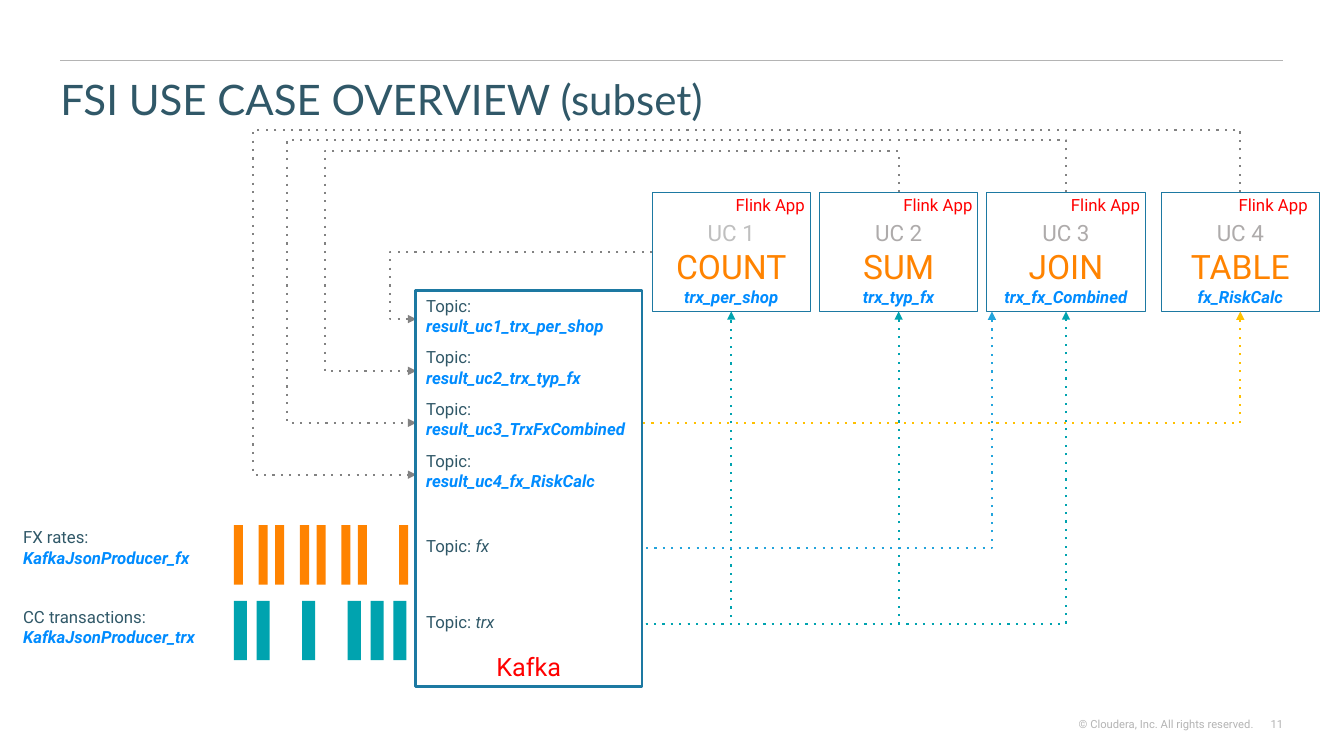
from dataclasses import dataclass

from lxml.etree import SubElement
from pptx import Presentation
from pptx.dml.color import RGBColor
from pptx.enum.shapes import MSO_CONNECTOR, MSO_SHAPE
from pptx.enum.text import MSO_ANCHOR, PP_ALIGN
from pptx.oxml.ns import qn
from pptx.util import Inches, Pt


@dataclass(frozen=True)
class Theme:
    body_font: str = "Roboto"
    title_font: str = "Lato"
    ink: str = "305868"
    link: str = "008CFF"
    orange: str = "FF8300"
    teal: str = "00A3AF"
    sky: str = "23A4DC"
    yellow: str = "FFC000"
    red: str = "FF0000"
    border: str = "1D79A2"
    white: str = "FFFFFF"
    muted: str = "B4B4B4"
    result: str = "828282"
    faded: str = "BFBFBF"
    label: str = "AEABAB"
    title_size: int = 30
    verb_size: int = 24
    name_size: int = 18
    case_size: int = 16
    text_size: int = 12
    footer_size: int = 8


@dataclass(frozen=True)
class Box:
    left: float
    top: float
    width: float
    height: float

    @property
    def right(self):
        return self.left + self.width

    @property
    def bottom(self):
        return self.top + self.height

    @property
    def center(self):
        return self.left + self.width / 2

    @property
    def middle(self):
        return self.top + self.height / 2

    def inside(self, left, top, width, height):
        return Box(self.left + left, self.top + top, width, height)

    def place(self):
        return [cells(n) for n in (self.left, self.top, self.width, self.height)]


THEME = Theme()
CELLS_PER_INCH = 10
PAGE = Box(0, 0, 133.33, 75)
KAFKA = Box(41.2, 28.8, 22.5, 39.3)
RESULTS = [KAFKA.inside(0.1, 5.15 * row, 22.5, 5.7) for row in range(4)]
FX_TOPIC = KAFKA.inside(0.1, 23.9, 8.6, 3.4)
TRX_TOPIC = KAFKA.inside(0.1, 31.4, 9.4, 3.4)
CARDS = [Box(left, 19.1, 15.7, 11.8) for left in (64.7, 81.3, 97.9, 115.2)]

PLAIN = {"size": THEME.text_size, "color": THEME.ink}
LINK = {"size": THEME.text_size, "color": THEME.link, "bold": True, "italic": True}


def cells(count):
    return Inches(count / CELLS_PER_INCH)


def write(shape, paragraphs, align=PP_ALIGN.LEFT, anchor=MSO_ANCHOR.TOP, insets=(1, 0.5, 1, 0.5), spacing=None):
    frame = shape.text_frame
    left, top, right, bottom = (cells(n) for n in insets)
    settings = {"word_wrap": True, "vertical_anchor": anchor, "margin_left": left,
                "margin_top": top, "margin_right": right, "margin_bottom": bottom}
    for name, value in settings.items():
        setattr(frame, name, value)
    for index, runs in enumerate(paragraphs):
        paragraph = frame.add_paragraph() if index else frame.paragraphs[0]
        paragraph.alignment = align
        paragraph.line_spacing = spacing
        for text, style in runs:
            run = paragraph.add_run()
            run.text = text
            font = {"name": THEME.body_font, **style}
            run.font.color.rgb = RGBColor.from_string(font.pop("color"))
            font["size"] = Pt(font["size"])
            for name, value in font.items():
                setattr(run.font, name, value)


def add_text(slide, box, paragraphs, **layout):
    write(slide.shapes.add_textbox(*box.place()), paragraphs, **layout)


def add_rectangle(slide, box, fill, line=None, weight=0.75):
    shape = slide.shapes.add_shape(MSO_SHAPE.RECTANGLE, *box.place())
    shape.shadow.inherit = False
    shape.fill.solid()
    shape.fill.fore_color.rgb = RGBColor.from_string(fill)
    if line:
        shape.line.color.rgb = RGBColor.from_string(line)
        shape.line.width = Pt(weight)
    else:
        shape.line.fill.background()
    return shape


def add_line(slide, kind, begin, end, color, weight):
    connector = slide.shapes.add_connector(kind, *(cells(n) for n in (*begin, *end)))
    connector.line.color.rgb = RGBColor.from_string(color)
    connector.line.width = Pt(weight)
    SubElement(connector.element.spPr, qn("a:effectLst"))
    return connector


def add_flow(slide, begin, end, color, preset, bends=()):
    connector = add_line(slide, MSO_CONNECTOR.ELBOW, begin, end, color, 1.5)
    line = connector.element.spPr.find(qn("a:ln"))
    SubElement(line, qn("a:prstDash"), val="dot")
    SubElement(line, qn("a:tailEnd"), type="triangle")
    geometry = connector.element.spPr.find(qn("a:prstGeom"))
    geometry.set("prst", preset)
    guides = geometry.find(qn("a:avLst"))
    for number, bend in enumerate(bends, 1):
        SubElement(guides, qn("a:gd"), name=f"adj{number}", fmla=f"val {round(bend * 100000)}")
    return connector


def add_loop(slide, card, topic, lane, ceiling):
    across, down = card.center - topic.left, topic.middle - card.top
    bends = ((ceiling - card.top) / down, (card.center - lane) / across)
    connector = add_flow(slide, (card.center, card.top), (topic.left, topic.middle),
                         THEME.result, "bentConnector4", bends)
    transform = connector.element.spPr.find(qn("a:xfrm"))
    transform.attrib.pop("flipH", None)
    transform.set("rot", str(90 * 60000))
    turned = Box(topic.left + (across - down) / 2, card.top + (down - across) / 2, down, across)
    for name, value in zip(("left", "top", "width", "height"), turned.place()):
        setattr(connector, name, value)


def draw_frame(slide, box):
    add_line(slide, MSO_CONNECTOR.STRAIGHT, (box.left + 6, 6), (box.right - 6, 6), THEME.muted, 0.75)
    title = {"size": THEME.title_size, "color": THEME.ink, "name": THEME.title_font}
    add_text(slide, box.inside(6, 6.7, 121.3, 6.1), [[("FSI USE CASE OVERVIEW (subset)", title)]],
             anchor=MSO_ANCHOR.BOTTOM, insets=(0, 0.5, 1, 0.5), spacing=0.8)
    footer = {"size": THEME.footer_size, "color": THEME.muted}
    for text, left, width in (("© Cloudera, Inc. All rights reserved.", 103.8, 20.6), ("11", 123.6, 3.7)):
        add_text(slide, box.inside(left, 71.2, width, 1.3), [[(text, footer)]],
                 align=PP_ALIGN.RIGHT, anchor=MSO_ANCHOR.MIDDLE, insets=(0, 0, 0, 0))


def draw_producer(slide, box, caption, producer, color, bar_width, pitch, slots):
    add_text(slide, box.inside(0, 0, 20.2, 6.4), [[(caption, PLAIN)], [(producer, LINK)]])
    for slot in slots:
        add_rectangle(slide, box.inside(21.9 + slot * pitch, box.height - 5.9, bar_width, 5.9), color)


def draw_card(slide, box, number, verb, job):
    color = THEME.faded if number == 1 else THEME.label
    lines = [[(f"UC {number}", {"size": THEME.case_size, "color": color})],
             [(verb, {"size": THEME.verb_size, "color": THEME.orange})],
             [(job, LINK)]]
    card = add_rectangle(slide, box, THEME.white, THEME.border)
    write(card, lines, align=PP_ALIGN.CENTER, anchor=MSO_ANCHOR.BOTTOM)


def draw_tags(slide, box):
    for column in range(len(CARDS)):
        add_text(slide, box.inside(7.3 + 16.63 * column, -0.3, 9.9, 4),
                 [[("Flink App", {"size": THEME.text_size, "color": THEME.red})]])


def draw_flows(slide):
    joined = CARDS[2]
    feeds = [(TRX_TOPIC, card.center, THEME.teal) for card in CARDS[:3]]
    feeds += [(FX_TOPIC, joined.left + 0.5, THEME.sky), (RESULTS[2], CARDS[3].center, THEME.yellow)]
    for topic, target, color in feeds:
        add_flow(slide, (topic.right, topic.middle), (target, joined.bottom), color, "bentConnector2")
    count, topic = CARDS[0], RESULTS[0]
    bend = (count.left - 38.7) / (count.left - topic.left)
    add_flow(slide, (count.left, count.middle), (topic.left, topic.middle),
             THEME.result, "bentConnector3", [bend])
    for card, topic, lane, ceiling in zip(CARDS[1:], RESULTS[1:], (32.2, 28.5, 25.1), (15, 13.9, 12.9)):
        add_loop(slide, card, topic, lane, ceiling)


def draw_kafka(slide, box):
    kafka = add_rectangle(slide, box, THEME.white, THEME.border, 2)
    write(kafka, [[("Kafka", {"size": THEME.name_size, "color": THEME.red})]],
          align=PP_ALIGN.CENTER, anchor=MSO_ANCHOR.BOTTOM)
    names = ("result_uc1_trx_per_shop", "result_uc2_trx_typ_fx",
             "result_uc3_TrxFxCombined", "result_uc4_fx_RiskCalc")
    for topic, name in zip(RESULTS, names):
        add_text(slide, topic, [[("Topic:", PLAIN)], [(name, LINK)]])
    for topic, name in ((FX_TOPIC, "fx"), (TRX_TOPIC, "trx")):
        add_text(slide, topic, [[("Topic: ", PLAIN), (name, {**PLAIN, "italic": True})]])


def main():
    presentation = Presentation()
    presentation.slide_width, presentation.slide_height = cells(PAGE.width), cells(PAGE.height)
    slide = presentation.slides.add_slide(presentation.slide_layouts[6])
    draw_frame(slide, PAGE)
    draw_producer(slide, Box(1.3, 51.8, 39.5, 6.2), "FX rates:", "KafkaJsonProducer_fx",
                  THEME.orange, 0.9, 0.82, (0, 3, 5, 8, 10, 13, 15, 20))
    draw_producer(slide, Box(1.3, 59.7, 39.5, 5.8), "CC transactions:", "KafkaJsonProducer_trx",
                  THEME.teal, 1.3, 2.26, (0, 1, 3, 5, 6, 7))
    cases = (("COUNT", "trx_per_shop"), ("SUM", "trx_typ_fx"),
             ("JOIN", "trx_fx_Combined"), ("TABLE", "fx_RiskCalc"))
    for number, (box, case) in enumerate(zip(CARDS, cases), 1):
        draw_card(slide, box, number, *case)
    draw_flows(slide)
    draw_kafka(slide, KAFKA)
    draw_tags(slide, CARDS[0])
    presentation.save("out.pptx")


if __name__ == "__main__":
    main()
